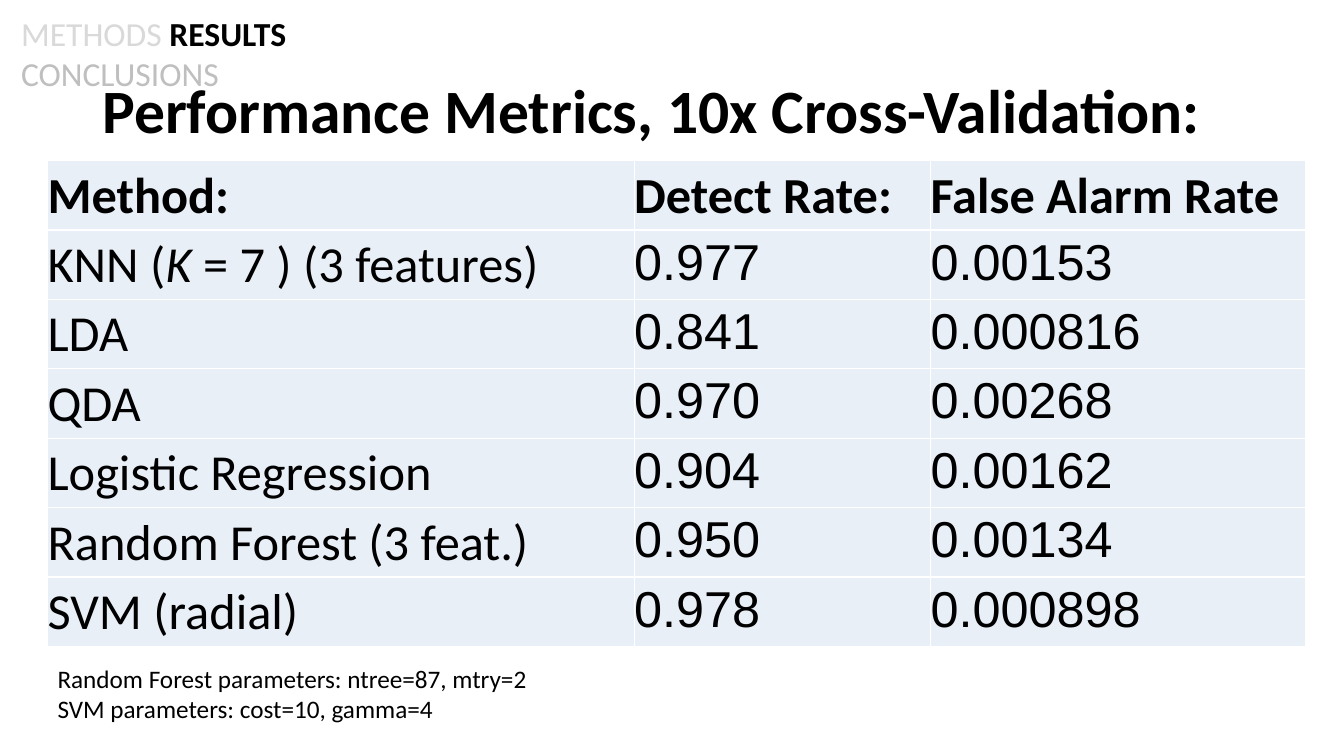
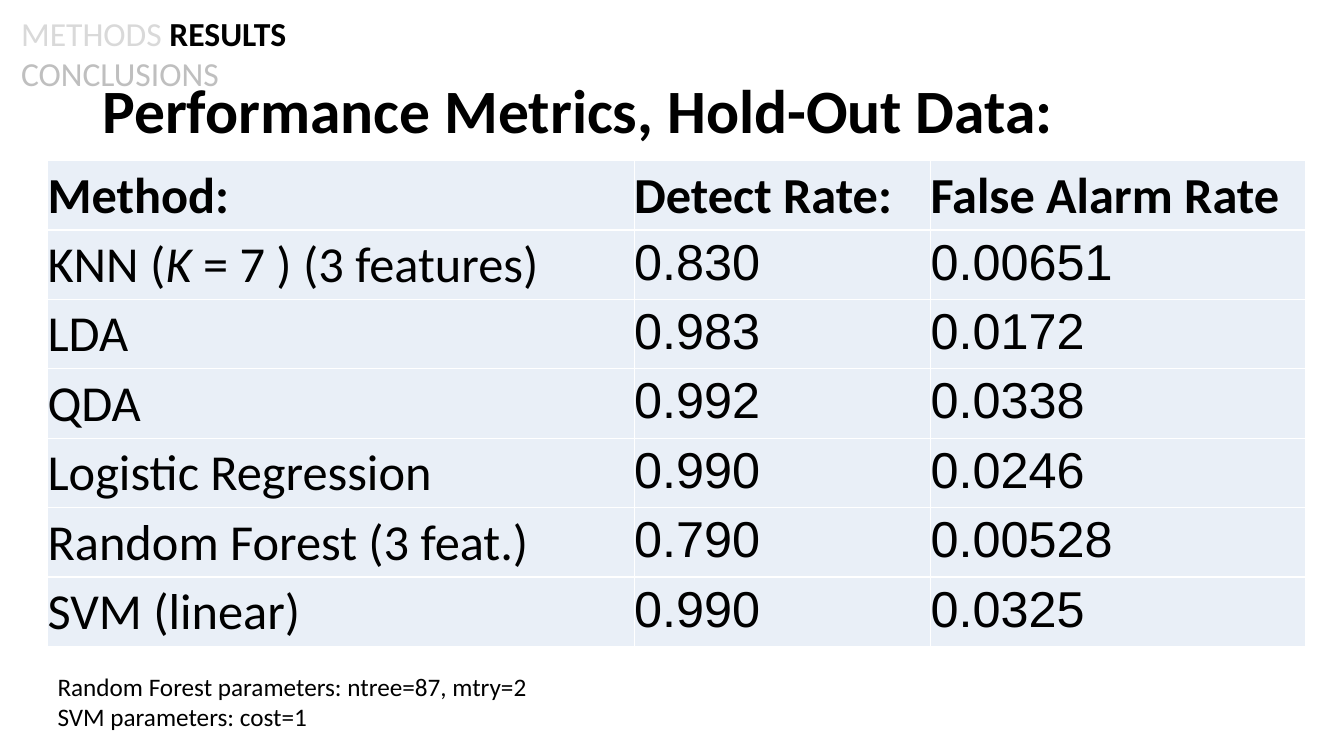
from lxml.etree import SubElement
from pptx import Presentation
from pptx.dml.color import RGBColor
from pptx.enum.text import MSO_ANCHOR, MSO_AUTO_SIZE
from pptx.oxml.ns import qn
from pptx.util import Pt

COLORS = {"ink": "000000", "past": "D9D9D9", "next": "BFBFBF",
          "cell": "E9EFF7", "border": "FFFFFF"}
HEADER = ["Method:", "Detect Rate:", "False Alarm Rate"]
METHODS = ["KNN (K = 7 ) (3 features)", "LDA", "QDA", "Logistic Regression",
           "Random Forest (3 feat.)"]
COLUMN_WIDTHS = [419, 211.7, 267.8]
ROW_HEIGHT = 46

RESULTS = [
    {"title": "Performance Metrics, 10x Cross-Validation:",
     "svm": "SVM (radial)",
     "detect": ["0.977", "0.841", "0.970", "0.904", "0.950", "0.978"],
     "alarm": ["0.00153", "0.000816", "0.00268", "0.00162", "0.00134", "0.000898"],
     "note": "SVM parameters: cost=10, gamma=4", "note_top": 470.2},
    {"title": "Performance Metrics, Hold-Out Data:",
     "svm": "SVM (linear)",
     "detect": ["0.830", "0.983", "0.992", "0.990", "0.790", "0.990"],
     "alarm": ["0.00651", "0.0172", "0.0338", "0.0246", "0.00528", "0.0325"],
     "note": "SVM parameters: cost=1", "note_top": 475.9},
]


def add_span(para, text, size, color="ink", bold=False, italic=False, font="Calibri"):
    span = para.add_run()
    span.text = text
    span.font.name = font
    span.font.size = Pt(size)
    span.font.bold = bold
    span.font.italic = italic
    span.font.color.rgb = RGBColor.from_string(COLORS[color])


def add_box(page, left, top, width, height):
    frame = page.shapes.add_textbox(Pt(left), Pt(top), Pt(width), Pt(height)).text_frame
    frame.word_wrap = True
    frame.auto_size = MSO_AUTO_SIZE.SHAPE_TO_FIT_TEXT
    return frame


deck = Presentation()
deck.slide_width, deck.slide_height = Pt(960), Pt(540)

for result in RESULTS:
    page = deck.slides.add_slide(deck.slide_layouts[6])

    # Title
    title = add_box(page, 66, 28.8, 828, 104.4)
    title.auto_size = MSO_AUTO_SIZE.NONE
    title.vertical_anchor = MSO_ANCHOR.MIDDLE
    title.paragraphs[0].line_spacing = 0.9
    add_span(title.paragraphs[0], result["title"], 44, bold=True)

    # Section tracker
    tracker = add_box(page, 8, 5.8, 355.7, 36).paragraphs[0]
    add_span(tracker, "METHODS", 24, "past")
    add_span(tracker, " RESULTS  ", 24, bold=True)
    add_span(tracker, "CONCLUSIONS", 24, "next")

    # Table of metrics
    rows = [HEADER, *zip(METHODS + [result["svm"]], result["detect"], result["alarm"])]
    table = page.shapes.add_table(
        len(rows), len(HEADER), Pt(34), Pt(114.7),
        Pt(sum(COLUMN_WIDTHS)), Pt(ROW_HEIGHT * len(rows))).table
    for column, width in zip(table.columns, COLUMN_WIDTHS):
        column.width = Pt(width)
    for row_index, row in enumerate(rows):
        table.rows[row_index].height = Pt(ROW_HEIGHT)
        for column_index, text in enumerate(row):
            cell = table.cell(row_index, column_index)
            cell.margin_left = cell.margin_right = 0
            cell.margin_top = cell.margin_bottom = Pt(3.2)
            is_header = row_index == 0
            font = "Calibri" if is_header or column_index == 0 else "Arial"
            para = cell.text_frame.paragraphs[0]
            # The variable K is set in italics
            before, variable, after = text.partition("K ")
            for part in (before, variable, after):
                if part:
                    add_span(para, part, 36, bold=is_header,
                             italic=part == "K ", font=font)
            # Thin white borders come before the fill
            properties = cell._tc.get_or_add_tcPr()
            for side in ("a:lnL", "a:lnR", "a:lnT", "a:lnB"):
                line = SubElement(properties, qn(side), w=str(Pt(0.96)))
                fill = SubElement(line, qn("a:solidFill"))
                SubElement(fill, qn("a:srgbClr"), val=COLORS["border"])
            cell.fill.solid()
            cell.fill.fore_color.rgb = RGBColor.from_string(COLORS["cell"])

    # Model parameters
    note = add_box(page, 34, result["note_top"], 910.8, 50).paragraphs[0]
    note.text = "Random Forest parameters: ntree=87, mtry=2\v" + result["note"]
    for span in note.runs:
        span.font.name = "Calibri"
        span.font.size = Pt(18)
        span.font.color.rgb = RGBColor.from_string(COLORS["ink"])

deck.save("out.pptx")
